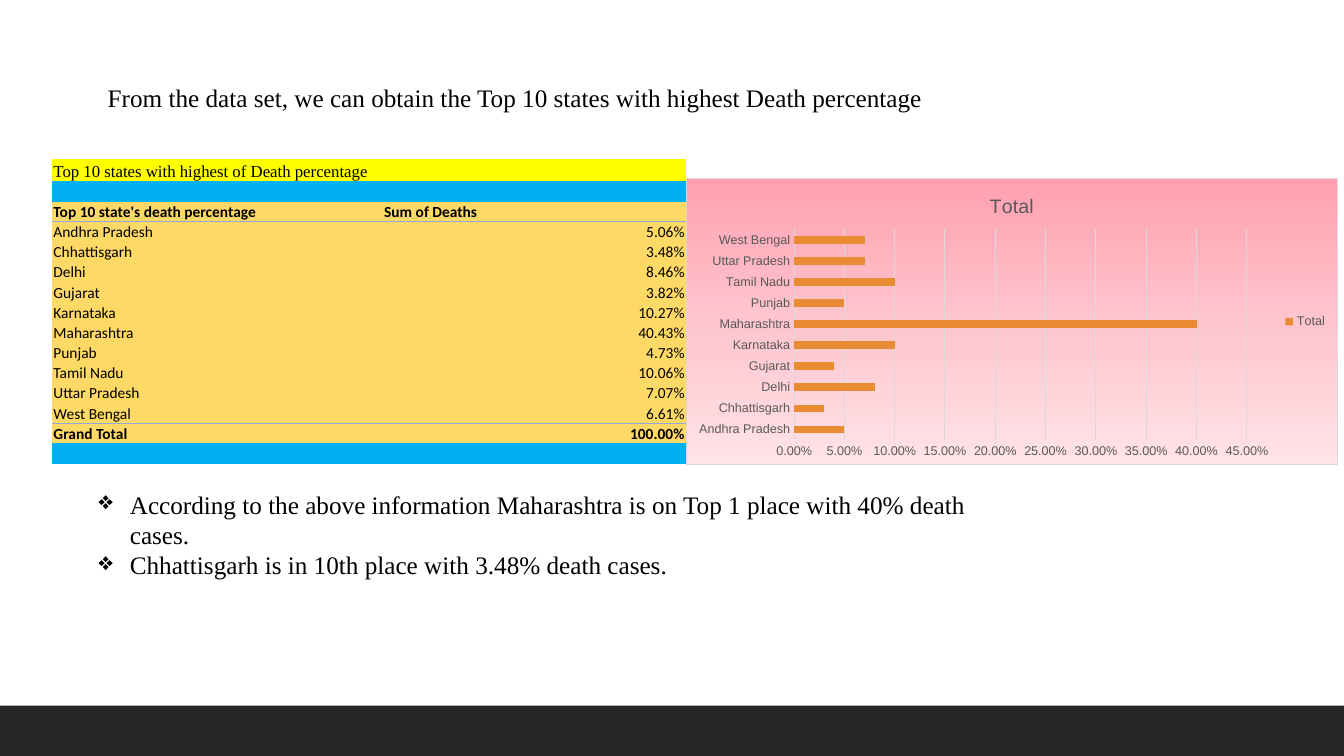
"""Build a slide on the ten states with the highest death percentage."""
from lxml import etree
from pptx import Presentation
from pptx.chart.data import CategoryChartData
from pptx.dml.color import RGBColor
from pptx.enum.chart import XL_CHART_TYPE, XL_LEGEND_POSITION, XL_TICK_MARK
from pptx.enum.shapes import MSO_SHAPE
from pptx.enum.text import MSO_ANCHOR, PP_ALIGN
from pptx.oxml import parse_xml
from pptx.oxml.ns import nsdecls, qn
from pptx.util import Inches, Pt

BAR = XL_CHART_TYPE.BAR_CLUSTERED
SIDE = XL_LEGEND_POSITION.RIGHT
NO_TICK = XL_TICK_MARK.NONE
RECT = MSO_SHAPE.RECTANGLE
BOTTOM = MSO_ANCHOR.BOTTOM
LEFT, RIGHT = PP_ALIGN.LEFT, PP_ALIGN.RIGHT
NO_STYLE = "{2D5ABB26-0587-4C30-8999-92F81FD0307C}"

STATES = {
    "Andhra Pradesh": "5.06%", "Chhattisgarh": "3.48%", "Delhi": "8.46%",
    "Gujarat": "3.82%", "Karnataka": "10.27%", "Maharashtra": "40.43%",
    "Punjab": "4.73%", "Tamil Nadu": "10.06%", "Uttar Pradesh": "7.07%",
    "West Bengal": "6.61%",
}
SHARES = (0.05, 0.03, 0.08, 0.04, 0.1, 0.4, 0.05, 0.1, 0.07, 0.07)


def color(code):
    return RGBColor.from_string(code)


def style(font, size, code, face, bold=False):
    font.size, font.name, font.bold = Pt(size), face, bold
    font.color.rgb = color(code)


def text(para, words, size=18, code="000000", face="Times New Roman",
         bold=False, align=LEFT, bullet=None):
    if bullet:
        props = para._p.get_or_add_pPr()
        props.set("marL", str(Inches(0.31)))
        props.set("indent", str(-Inches(0.31)))
        etree.SubElement(props, qn("a:buChar")).set("char", bullet)
    para.alignment = align
    if words:
        run = para.add_run()
        run.text = words
        style(run.font, size, code, face, bold)
    else:
        end = etree.SubElement(para._p, qn("a:endParaRPr"))
        end.set("sz", str(size * 100))


class Deck:
    gray, rule, body = "595959", "D9D9D9", "Arial"
    edge, orange = "8EA9DB", "E88B33"
    pink = (0, "FFA0AF"), (50, "FFC5CE"), (100, "FFE3E7")

    def __init__(self):
        self.file = Presentation()
        self.file.slide_width = Inches(13.33)
        self.file.slide_height = Inches(7.5)
        self.shapes = self.file.slides.add_slide(
            self.file.slide_layouts[6]).shapes

    def band(self, box, code):
        shape = self.shapes.add_shape(RECT, *map(Inches, box))
        shape.shadow.inherit = False
        shape.fill.solid()
        shape.fill.fore_color.rgb = color(code)
        shape.line.fill.background()

    def note(self, box, lines, **form):
        frame = self.shapes.add_textbox(*map(Inches, box)).text_frame
        frame.word_wrap = True
        for i, line in enumerate(lines):
            para = frame.add_paragraph() if i else frame.paragraphs[0]
            text(para, line, **form)

    def cell(self, cell, words, fill, ruled, **form):
        cell.margin_left = cell.margin_right = cell.margin_top = Inches(0.01)
        cell.margin_bottom = 0
        cell.vertical_anchor = BOTTOM
        cell.fill.solid()
        cell.fill.fore_color.rgb = color(fill)
        text(cell.text_frame.paragraphs[0], words, **form)
        if ruled:
            cell._tc.get_or_add_tcPr().insert(0, parse_xml(
                f'<a:lnB {nsdecls("a")} w="6350"><a:solidFill>'
                f'<a:srgbClr val="{self.edge}"/></a:solidFill></a:lnB>'))

    def table(self, box, widths, rows):
        grid = self.shapes.add_table(
            len(rows), len(widths), *map(Inches, box)).table
        grid.first_row = grid.horz_banding = False
        grid._tbl.tblPr.find(qn("a:tableStyleId")).text = NO_STYLE
        for col, width in zip(grid.columns, widths):
            col.width = Inches(width)
        for i, (words, fill, ruled, form) in enumerate(rows):
            grid.rows[i].height = Inches(0.2 if i else 0.22)
            for j, word in enumerate(words):
                align = RIGHT if j and word.endswith("%") else LEFT
                self.cell(grid.cell(i, j), word, fill, ruled,
                          align=align, **form)

    def line(self, line, code):
        line.color.rgb = color(code)
        line.width = Pt(0.75)

    def back(self, chart):
        stops = "".join(
            f'<a:gs pos="{pos * 1000}"><a:srgbClr val="{code}"/></a:gs>'
            for pos, code in self.pink)
        chart._chartSpace.chart.addnext(parse_xml(
            f'<c:spPr {nsdecls("c", "a")}><a:gradFill><a:gsLst>{stops}'
            '</a:gsLst><a:lin ang="5400000" scaled="0"/></a:gradFill>'
            f'<a:ln w="9525"><a:solidFill><a:srgbClr val="{self.rule}"/>'
            '</a:solidFill></a:ln></c:spPr>'))

    def chart(self, box, name, cats, vals):
        feed = CategoryChartData(number_format="0.00%")
        feed.categories = cats
        feed.add_series(name, vals)
        chart = self.shapes.add_chart(BAR, *map(Inches, box), feed).chart
        style(chart.font, 10, "000000", self.body)
        self.back(chart)
        chart.has_title = True
        text(chart.chart_title.text_frame.paragraphs[0], name,
             size=14, code=self.gray, face=self.body)
        chart.has_legend = True
        chart.legend.position = SIDE
        chart.legend.include_in_layout = False
        side, base = chart.category_axis, chart.value_axis
        for part in (chart.legend, side.tick_labels, base.tick_labels):
            style(part.font, 9, self.gray, self.body)
        for axis in (side, base):
            axis.major_tick_mark = axis.minor_tick_mark = NO_TICK
        self.line(side.format.line, self.rule)
        base.format.line.fill.background()
        self.line(base.major_gridlines.format.line, self.rule)
        base.minimum_scale, base.maximum_scale = 0, 0.45
        base.major_unit = 0.05
        base.tick_labels.number_format = "0.00%"
        base.tick_labels.number_format_is_linked = False
        plot = chart.plots[0]
        plot.gap_width = 182
        plot.vary_by_categories = False
        bars = plot.series[0].format.fill
        bars.solid()
        bars.fore_color.rgb = color(self.orange)


def main():
    deck = Deck()
    gold, blue = "FFD966", "00B0F0"
    plain = {"size": 11, "face": "Calibri"}
    bold = {**plain, "bold": True}
    blank = (("", ""), blue, False, plain)
    last = list(STATES)[-1]
    rows = [
        (("Top 10 states with highest of Death percentage", ""),
         "FFFF00", False, {"size": 12}),
        blank,
        (("Top 10 state's death percentage", "Sum of Deaths"),
         gold, True, bold),
        *((pair, gold, pair[0] == last, plain) for pair in STATES.items()),
        (("Grand Total", "100.00%"), gold, False, bold),
        blank,
    ]
    deck.band((0, 7, 13.33, 0.5), "262626")
    deck.table((0.52, 1.58, 6.28, 3.03), (3.28, 3), rows)
    deck.chart((6.8, 1.77, 6.47, 2.84), "Total", list(STATES), SHARES)
    deck.note((0.97, 0.77, 10.34, 0.4), [
        "From the data set, we can obtain the Top 10 states "
        "with highest Death percentage"])
    deck.note((0.88, 4.8, 9.3, 1.01), [
        "According to the above information Maharashtra is on Top 1 place "
        "with 40% death cases.",
        "Chhattisgarh is in 10th place with 3.48% death cases."], bullet="❖")
    deck.file.save("out.pptx")


if __name__ == "__main__":
    main()
